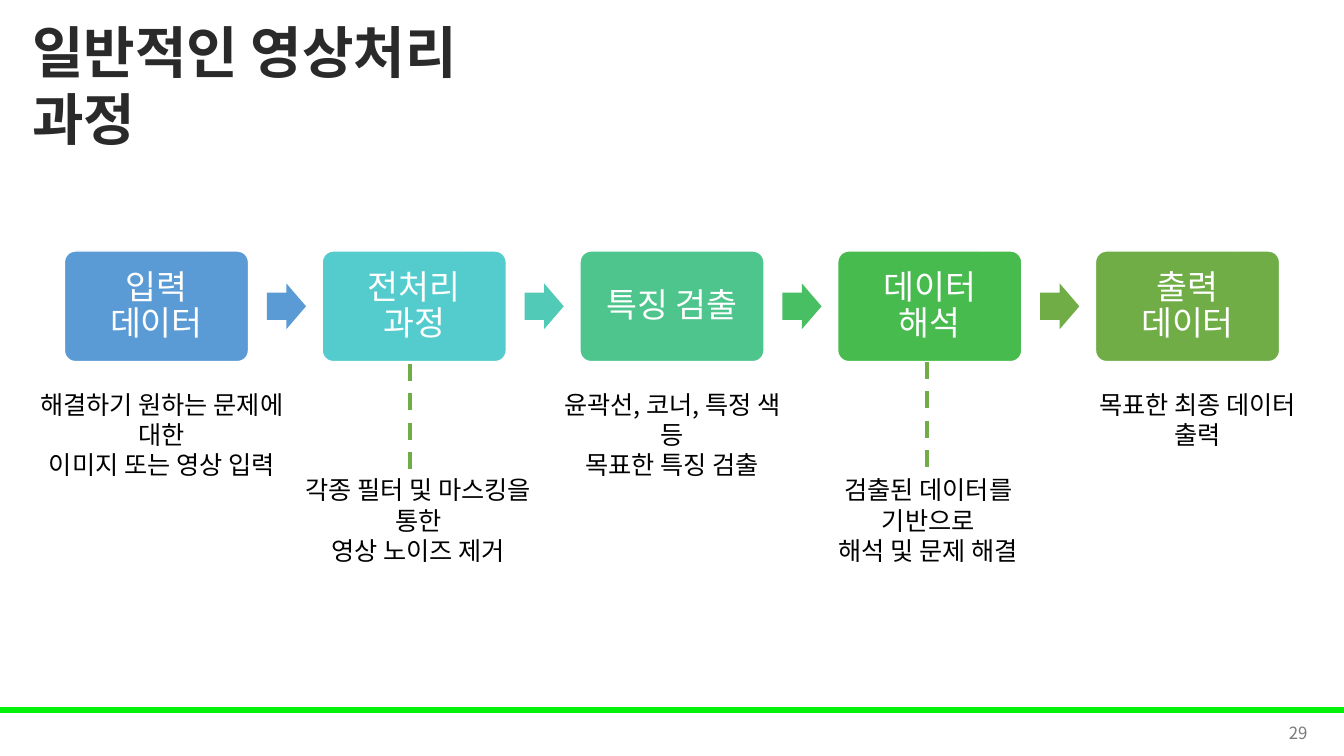
import pptx
import pptx.dml.color
import pptx.enum.dml
import pptx.enum.shapes
import pptx.enum.text
import pptx.oxml
import pptx.oxml.ns
import pptx.util
from lxml import etree

Pt = pptx.util.Pt
RGB = pptx.dml.color.RGBColor
SHAPE = pptx.enum.shapes.MSO_SHAPE
ALIGN = pptx.enum.text.PP_ALIGN
ANCHOR = pptx.enum.text.MSO_ANCHOR

FONT = "Noto Sans CJK KR"
WHITE = RGB(0xFF, 0xFF, 0xFF)
BLACK = RGB(0x00, 0x00, 0x00)
TITLE_COLOR = RGB(0x2A, 0x2A, 0x2A)
NUMBER_GRAY = RGB(0x79, 0x79, 0x79)
FOOTER_GREEN = RGB(0x00, 0xF2, 0x09)
OLIVE = RGB(0x70, 0xAD, 0x47)
BLUE = RGB(0x5B, 0x9B, 0xD5)

# Step name, box colour, colour of the arrow that follows
STEPS = [
    ("입력 데이터", BLUE, BLUE),
    ("전처리 과정", RGB(0x54, 0xCC, 0xCD), RGB(0x52, 0xCA, 0xB8)),
    ("특징 검출", RGB(0x4D, 0xC5, 0x8D), RGB(0x49, 0xBF, 0x64)),
    ("데이터 해석", RGB(0x48, 0xBB, 0x4F), OLIVE),
    ("출력 데이터", OLIVE, None),
]
# Left, top, width, lines
CAPTIONS = [
    (7.9, 274.3, 215.3, ["해결하기 원하는 문제에 대한", "이미지 또는 영상 입력"]),
    (194.4, 335.5, 208.8, ["각종 필터 및 마스킹을 통한", "영상 노이즈 제거"]),
    (386.6, 274.3, 187.2, ["윤곽선, 코너, 특정 색 등", "목표한 특징 검출"]),
    (563, 335.5, 200.2, ["검출된 데이터를 기반으로", "해석 및 문제 해결"]),
    (763.2, 274.3, 184.3, ["목표한 최종 데이터 출력"]),
]
# Centre, top, bottom
DASHED_LINES = [(293, 260, 335.5), (662.4, 258.5, 334.8)]


def write(shape, lines, size, color, align, anchor=ANCHOR.TOP, bold=False):
    frame = shape.text_frame
    frame.word_wrap = True
    frame.auto_size = pptx.enum.text.MSO_AUTO_SIZE.NONE
    frame.vertical_anchor = anchor
    frame.text = "\n".join(lines)
    for para in frame.paragraphs:
        para.alignment = align
        font = para.font
        font.name, font.size, font.bold = FONT, Pt(size), bold
        font.color.rgb = color
        east_asian = etree.SubElement(
            para._p.pPr.find(pptx.oxml.ns.qn("a:defRPr")), pptx.oxml.ns.qn("a:ea"))
        east_asian.set("typeface", FONT)


def add_text(page, left, top, width, height, *text, **options):
    box = page.shapes.add_textbox(Pt(left), Pt(top), Pt(width), Pt(height))
    write(box, *text, **options)


def add_filled(page, kind, left, top, width, height, fill, line=None):
    shape = page.shapes.add_shape(kind, Pt(left), Pt(top), Pt(width), Pt(height))
    shape.shadow.inherit = False
    shape.fill.solid()
    shape.fill.fore_color.rgb = fill
    if line is None:
        shape.line.fill.background()
    else:
        shape.line.color.rgb = line
        shape.line.width = Pt(1)
    return shape


def add_title(page, left, top, width, height):
    title = page.shapes.title
    title.left, title.top = Pt(left), Pt(top)
    title.width, title.height = Pt(width), Pt(height)
    write(title, ["일반적인 영상처리 과정"], 40, TITLE_COLOR, ALIGN.LEFT, bold=True)


def add_process(page, left, top, width, height):
    """Spread the step boxes evenly over the width, with an arrow in each gap."""
    box_width, arrow_width, arrow_height = 131.5, 28, 32.6
    pitch = (width - box_width) / (len(STEPS) - 1)
    for index, (name, fill, arrow_fill) in enumerate(STEPS):
        x = left + index * pitch
        step = add_filled(page, SHAPE.ROUNDED_RECTANGLE, x, top, box_width, height, fill, WHITE)
        step.adjustments[0] = 0.1
        frame = step.text_frame
        frame.margin_left = frame.margin_right = Pt(10)
        write(step, [name], 24, WHITE, ALIGN.CENTER, ANCHOR.MIDDLE)
        frame.paragraphs[0].line_spacing = 0.9
        if arrow_fill is not None:
            arrow = add_filled(page, SHAPE.RIGHT_ARROW, x + 144.6,
                               top + (height - arrow_height) / 2,
                               arrow_width, arrow_height, arrow_fill)
            arrow.adjustments[0] = 0.6
            arrow.adjustments[1] = 0.5


def add_dashed_line(page, x, top, bottom):
    line = page.shapes.add_connector(
        pptx.enum.shapes.MSO_CONNECTOR.STRAIGHT, Pt(x), Pt(top), Pt(x), Pt(bottom))
    line.line.color.rgb = OLIVE
    line.line.width = Pt(3)
    line.line.dash_style = pptx.enum.dml.MSO_LINE.DASH
    etree.SubElement(line._element.spPr, pptx.oxml.ns.qn("a:effectLst"))


def add_captions(page):
    for left, top, width, lines in CAPTIONS:
        add_text(page, left, top, width, 51, lines, 18, BLACK, ALIGN.CENTER)
    for x, top, bottom in DASHED_LINES:
        add_dashed_line(page, x, top, bottom)


def add_footer(page, left, top, width):
    add_filled(page, SHAPE.RECTANGLE, left, top, width, 3.6, FOOTER_GREEN, FOOTER_GREEN)
    add_text(page, left + width - 235, top + 3.6, 216, 28.8,
             ["29"], 12, NUMBER_GRAY, ALIGN.RIGHT, anchor=ANCHOR.MIDDLE)


def main():
    deck = pptx.Presentation()
    deck.slide_width, deck.slide_height = Pt(960), Pt(540)
    page = deck.slides.add_slide(deck.slide_layouts[5])
    add_footer(page, 0, 505.4, 960)
    add_process(page, 46, 179.3, 868, 79)
    add_captions(page)
    add_title(page, 15.8, 8.6, 391, 55.4)
    deck.save("out.pptx")


if __name__ == "__main__":
    main()
